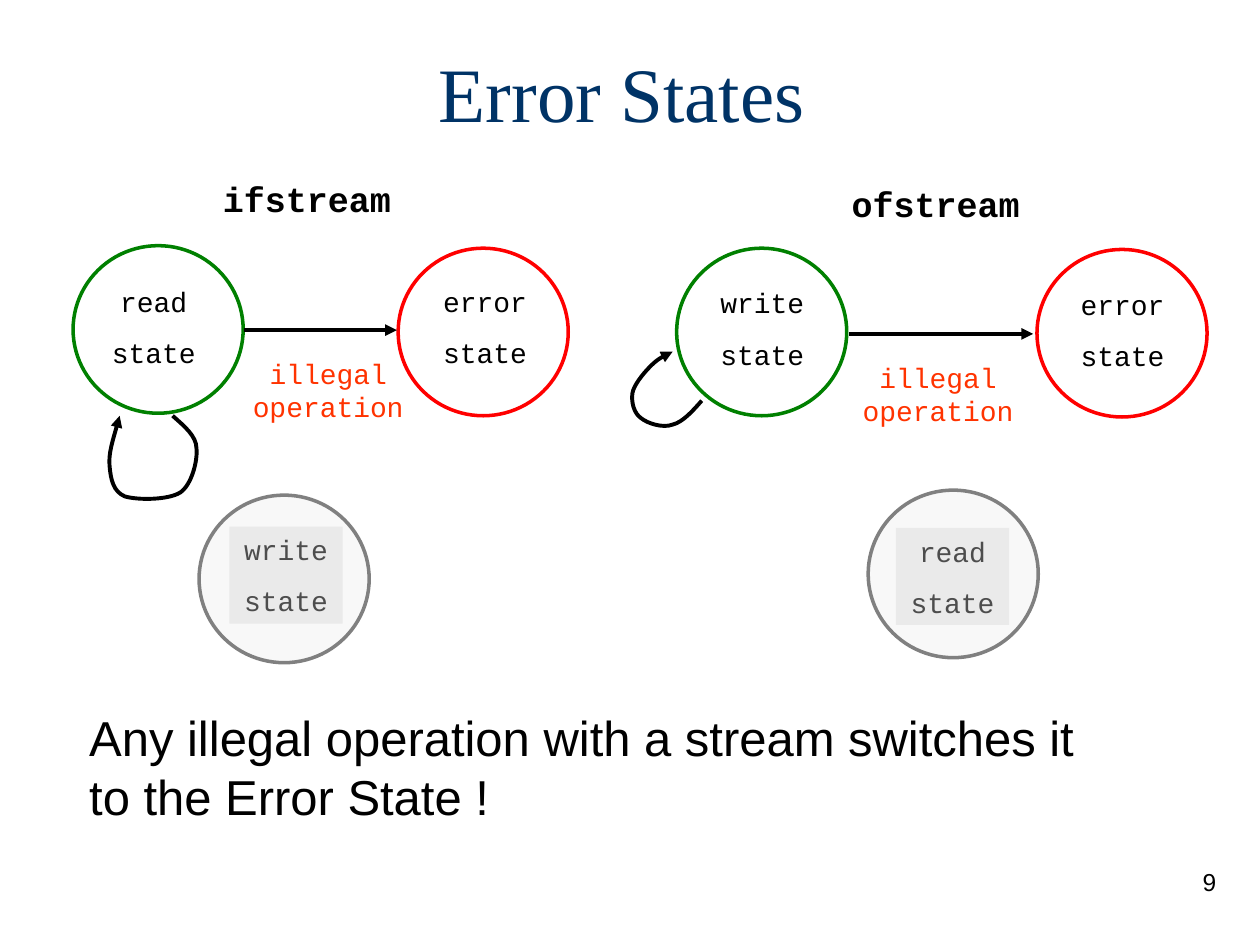
"""Build the Error States slide with the ifstream and ofstream state diagrams."""
from lxml.etree import SubElement
from pptx import Presentation
from pptx.dml.color import RGBColor
from pptx.enum.shapes import MSO_CONNECTOR as Connector, MSO_SHAPE as Shape
from pptx.enum.text import MSO_ANCHOR as Anchor, MSO_AUTO_SIZE as AutoSize, PP_ALIGN as Align
from pptx.oxml.ns import qn
from pptx.util import Inches, Pt

BLACK = RGBColor(0x00, 0x00, 0x00)
NAVY = RGBColor(0x00, 0x33, 0x66)
GREEN = RGBColor(0x00, 0x80, 0x00)
RED = RGBColor(0xFF, 0x00, 0x00)
ORANGE = RGBColor(0xFF, 0x33, 0x00)
GRAY = RGBColor(0x80, 0x80, 0x80)
PALE = RGBColor(0xEA, 0xEA, 0xEA)
MONO = "Courier New"

deck = Presentation()
deck.slide_width, deck.slide_height = Inches(10), Inches(7.5)
slide = deck.slides.add_slide(deck.slide_layouts[5])
shapes = slide.shapes


def add_text(text, left, top, width, height, size=16, font=MONO, color=BLACK,
             bold=False, align=Align.CENTER, fill=None):
    box = shapes.add_textbox(Inches(left), Inches(top), Inches(width), Inches(height))
    if fill is not None:
        box.fill.solid()
        box.fill.fore_color.rgb = fill
    frame = box.text_frame
    frame.word_wrap = True
    frame.text = text
    for index, para in enumerate(frame.paragraphs):
        para.alignment = align
        para.space_before = Pt(10 if index else 0)
        para.font.size, para.font.name, para.font.bold = Pt(size), font, bold
        para.font.color.rgb = color


def style_arrow(arrow):
    arrow.line.color.rgb = BLACK
    arrow.line.width = Pt(2.25)
    SubElement(arrow.line._get_or_add_ln(), qn("a:tailEnd"), type="triangle")
    SubElement(arrow._element.spPr, qn("a:effectLst"))


title = shapes.title
title.left, title.top, title.width, title.height = map(Inches, (0.44, 0.25, 8.99, 1.25))
title.text = "Error States"
title_frame = title.text_frame
title_frame.auto_size = AutoSize.NONE
title_frame.vertical_anchor = Anchor.TOP
title_frame.margin_top = Inches(0.11)
title_para = title_frame.paragraphs[0]
title_para.alignment = Align.CENTER
title_para.font.size, title_para.font.name = Pt(44), "Times New Roman"
title_para.font.color.rgb = NAVY

states = [
    ("read", 0.77, 2.21, 0.58, 1.95, GREEN),
    ("error", 3.4, 2.21, 3.16, 1.97, RED),
    ("write", 5.6, 2.22, 5.37, 1.97, GREEN),
    ("error", 8.46, 2.23, 8.23, 1.98, RED),
    ("write", 1.82, 4.18, 1.58, 3.93, GRAY),
    ("read", 7.11, 4.19, 6.89, 3.89, GRAY),
]
for name, text_left, text_top, left, top, color in states:
    unreachable = color == GRAY
    add_text(f"{name}\nstate", text_left, text_top, 0.9, 0.77,
             fill=PALE if unreachable else None)
    circle = shapes.add_shape(Shape.OVAL, Inches(left), Inches(top), Inches(1.35), Inches(1.33))
    circle.shadow.inherit = False
    circle.line.color.rgb = color
    circle.line.width = Pt(2)
    if unreachable:
        circle.fill.solid()
        circle.fill.fore_color.rgb = PALE
        fill_color = circle._element.spPr.find(qn("a:solidFill"))[0]
        SubElement(fill_color, qn("a:alpha"), val="33000")
    else:
        circle.fill.background()

for start, end, level in [(1.94, 3.15, 2.62), (6.74, 8.2, 2.65)]:
    style_arrow(shapes.add_connector(Connector.STRAIGHT, Inches(start), Inches(level),
                                     Inches(end), Inches(level)))

loops = [
    [(1.37, 3.3), (1.46, 3.38), (1.56, 3.46), (1.56, 3.56), (1.57, 3.66),
     (1.52, 3.85), (1.43, 3.91), (1.33, 3.97), (1.09, 3.97), (0.99, 3.94),
     (0.9, 3.9), (0.88, 3.81), (0.87, 3.7), (0.86, 3.6), (0.91, 3.45), (0.95, 3.3)],
    [(5.57, 3.18), (5.5, 3.26), (5.42, 3.35), (5.34, 3.37), (5.26, 3.4),
     (5.14, 3.36), (5.09, 3.32), (5.03, 3.28), (5.01, 3.19), (5.02, 3.12),
     (5.03, 3.06), (5.1, 2.97), (5.16, 2.91), (5.21, 2.86), (5.27, 2.82), (5.34, 2.79)],
]
for points in loops:
    start, *controls = [(Inches(x), Inches(y)) for x, y in points]
    builder = shapes.build_freeform(*start)
    builder.add_line_segments(controls, close=False)
    loop = builder.convert_to_shape()
    loop.fill.background()
    segments = list(loop._element.iter(qn("a:lnTo")))
    for curve, second, third in zip(segments[::3], segments[1::3], segments[2::3]):
        curve.tag = qn("a:cubicBezTo")
        for segment in (second, third):
            curve.append(segment[0])
            segment.getparent().remove(segment)
    style_arrow(loop)

for left, top in [(1.86, 2.78), (6.7, 2.81)]:
    add_text("illegal operation", left, top, 1.49, 0.64, color=ORANGE)
for stream, left, top in [("ifstream", 1.67, 1.36), ("ofstream", 6.66, 1.4)]:
    add_text(stream, left, top, 1.58, 0.44, size=20, bold=True, align=Align.LEFT)
add_text("Any illegal operation with a stream switches it to the Error State !",
         0.61, 5.57, 8.41, 1.04, size=28, font="Arial", align=Align.LEFT)
add_text("9", 7.67, 6.83, 2.08, 0.5, size=14, font="Arial", align=Align.RIGHT)

deck.save("out.pptx")
